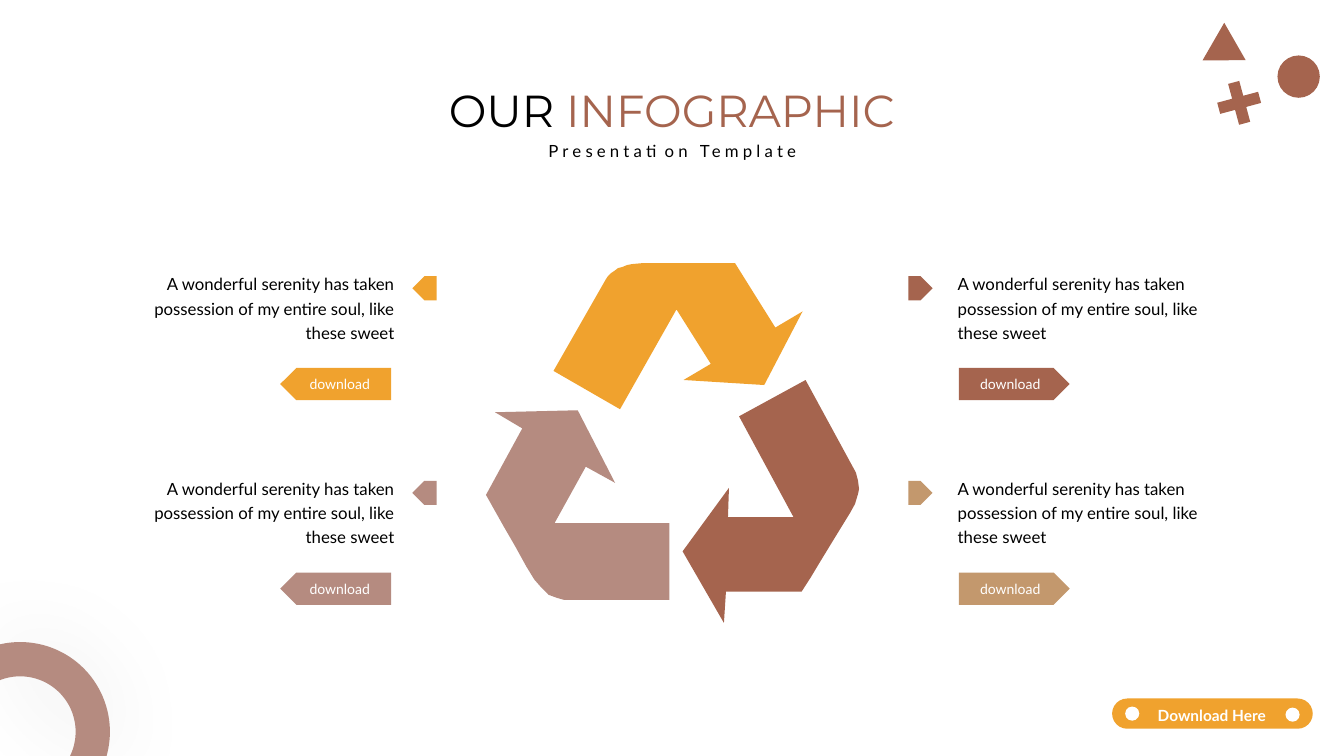
import math

import lxml.etree
import pptx
import pptx.dml.color
import pptx.enum.shapes
import pptx.enum.text
import pptx.oxml.ns
import pptx.util

Inches = pptx.util.Inches
SHAPE = pptx.enum.shapes.MSO_SHAPE
ALIGN = pptx.enum.text.PP_ALIGN
ANCHOR = pptx.enum.text.MSO_ANCHOR
qn = pptx.oxml.ns.qn

COLORS = {
    "gold": "F0A22E",
    "rust": "A5644E",
    "rose": "B58B80",
    "tan": "C3986D",
    "black": "000000",
    "white": "FFFFFF",
}

ROSE_ARROW = [
    (5.73, 4.07), (6.1, 4.79), (5.81, 4.63), (5.5, 5.19), (6.64, 5.19),
    (6.64, 5.95), (5.59, 5.95), (5.52, 5.93), (5.44, 5.9), (5.37, 5.83),
    (5.3, 5.75), (5.22, 5.62), (5.11, 5.42), (5, 5.23), (4.91, 5.07),
    (4.82, 4.91), (5.18, 4.25), (4.91, 4.09),
]
GOLD_ARROW = [
    (6.91, 2.61), (7.29, 2.61), (7.69, 3.25), (7.96, 3.09), (7.58, 3.82),
    (6.78, 3.77), (7.05, 3.61), (6.71, 3.07), (6.15, 4.06), (5.49, 3.68),
    (6.01, 2.77), (6.03, 2.74), (6.06, 2.71), (6.09, 2.69), (6.13, 2.66),
    (6.17, 2.65), (6.22, 2.63), (6.27, 2.62), (6.38, 2.61),
]
RUST_ARROW = [
    (7.99, 3.77), (8.49, 4.69), (8.51, 4.77), (8.52, 4.85), (8.51, 4.9),
    (8.48, 5), (8.43, 5.09), (8.35, 5.22), (8.24, 5.4), (8.13, 5.58),
    (8.04, 5.73), (7.95, 5.87), (7.2, 5.87), (7.18, 6.18), (6.77, 5.47),
    (7.23, 4.84), (7.22, 5.13), (7.87, 5.13), (7.33, 4.13),
]
BODY = "A wonderful serenity has taken possession of my entire soul, like these sweet"


def tint(name):
    return pptx.dml.color.RGBColor.from_string(COLORS[name])


def write(para, text, size=12, font="Lato", color="black", bold=False, track=0):
    """Add a run; track is the letter spacing in points."""
    run = para.add_run()
    run.text = text
    run.font.size = pptx.util.Pt(size)
    run.font.name = font
    run.font.bold = bold
    run.font.color.rgb = tint(color)
    if track:
        run.font._element.set("spc", str(track * 100))


def arc(center, radius, start, end, steps=60):
    """Points on a circle between two angles in radians."""
    turns = [start + (end - start) * i / steps for i in range(steps + 1)]
    return [(center[0] + radius * math.cos(t), center[1] + radius * math.sin(t))
            for t in turns]


class Deck:
    def __init__(self):
        self.prs = pptx.Presentation()
        self.prs.slide_width = Inches(13.33)
        self.prs.slide_height = Inches(7.5)
        self.slide = self.prs.slides.add_slide(self.prs.slide_layouts[6])

    def paint(self, shape, color):
        shape.shadow.inherit = False
        shape.fill.solid()
        shape.fill.fore_color.rgb = tint(color)
        shape.line.fill.background()
        return shape

    def shape(self, kind, box, color, turn=0, flip=False, adjust=None):
        shape = self.slide.shapes.add_shape(kind, *map(Inches, box))
        shape.rotation = turn
        if flip:
            shape._element.spPr.find(qn("a:xfrm")).set("flipH", "1")
        if adjust is not None:
            shape.adjustments[0] = adjust
        return self.paint(shape, color)

    def outline(self, points, color):
        spots = [(Inches(x), Inches(y)) for x, y in points]
        pen = self.slide.shapes.build_freeform(*spots[0], scale=1.0)
        pen.add_line_segments(spots[1:], close=True)
        return self.paint(pen.convert_to_shape(), color)

    def glow(self, shape, blur, alpha):
        """Give a soft shadow with blur in points and alpha in percent."""
        effects = shape._element.spPr.find(qn("a:effectLst"))
        outer = lxml.etree.SubElement(
            effects, qn("a:outerShdw"), blurRad=str(pptx.util.Pt(blur)),
            dist="0", dir="0", algn="ctr", rotWithShape="0")
        shade = lxml.etree.SubElement(outer, qn("a:srgbClr"), val=COLORS["black"])
        lxml.etree.SubElement(shade, qn("a:alpha"), val=str(alpha * 1000))

    def text(self, box, runs, align=ALIGN.CENTER, spacing=None):
        frame = self.slide.shapes.add_textbox(*map(Inches, box)).text_frame
        frame.word_wrap = True
        frame.auto_size = pptx.enum.text.MSO_AUTO_SIZE.SHAPE_TO_FIT_TEXT
        para = frame.paragraphs[0]
        para.alignment = align
        if spacing:
            para.line_spacing = spacing
        for words, style in runs:
            write(para, words, **style)

    def button(self, box, color, flip):
        frame = self.shape(SHAPE.PENTAGON, box, color, flip=flip).text_frame
        frame.vertical_anchor = ANCHOR.MIDDLE
        para = frame.paragraphs[0]
        para.alignment = ALIGN.CENTER
        write(para, "download", size=10, color="white")

    def card(self, left, row, color):
        down = 2.03 * row
        text_x, tag_x, button_x = (1.42, 4.09, 2.78) if left else (9.4, 9.01, 9.51)
        self.text((text_x, 2.63 + down, 2.59, 0.81), [(BODY, {})],
                  ALIGN.RIGHT if left else ALIGN.LEFT, 1.2)
        self.shape(SHAPE.PENTAGON, (tag_x, 2.74 + down, 0.24, 0.24), color, flip=left)
        self.button((button_x, 3.65 + down, 1.1, 0.32), color, left)

    def ring(self, center, outer, inner):
        """Draw the part of a ring that lies inside the lower left corner."""
        def edge(radius):
            return (math.pi + math.acos(center[0] / radius) - math.pi * 0,
                    2 * math.pi + math.asin((7.5 - center[1]) / radius))

        def sweep(radius):
            start = math.pi + math.acos(center[0] / radius)
            start = 2 * math.pi - math.acos(-center[0] / radius)
            return arc(center, radius, start, edge(radius)[1])

        ring = self.outline(sweep(outer) + sweep(inner)[::-1], "rose")
        self.glow(ring, 65, 7)


def main():
    deck = Deck()
    for points, color in ((ROSE_ARROW, "rose"), (GOLD_ARROW, "gold"),
                          (RUST_ARROW, "rust")):
        deck.outline(points, color)

    for left, row, color in ((False, 1, "tan"), (False, 0, "rust"),
                             (True, 1, "rose"), (True, 0, "gold")):
        deck.card(left, row, color)

    deck.shape(SHAPE.OVAL, (12.67, 0.55, 0.42, 0.42), "rust")
    deck.shape(SHAPE.ISOSCELES_TRIANGLE, (11.98, 0.32, 0.43, 0.37), "rust", turn=120)
    deck.shape(SHAPE.CROSS, (12.08, 0.81, 0.42, 0.42), "rust", turn=75, adjust=0.364)

    title = {"size": 32, "font": "Montserrat"}
    deck.text((3.78, 0.77, 5.77, 0.64),
              [("OUR ", title), ("INFOGRAPHIC", {**title, "color": "rust"})])
    deck.text((5.03, 1.31, 3.28, 0.32),
              [("Presentation Template", {"track": 3})], spacing=1.2)

    deck.ring((0.2, 7.26), 0.89, 0.55)

    deck.shape(SHAPE.ROUNDED_RECTANGLE, (11.03, 6.93, 1.99, 0.3), "gold", adjust=0.5)
    for x, y in ((11.16, 7.01), (12.75, 7.02)):
        deck.shape(SHAPE.OVAL, (x, y, 0.14, 0.14), "white")
    deck.text((11.3, 6.92, 1.44, 0.3),
              [("Download Here", {"size": 11, "color": "white", "bold": True})],
              spacing=1.2)

    deck.prs.save("out.pptx")


if __name__ == "__main__":
    main()
